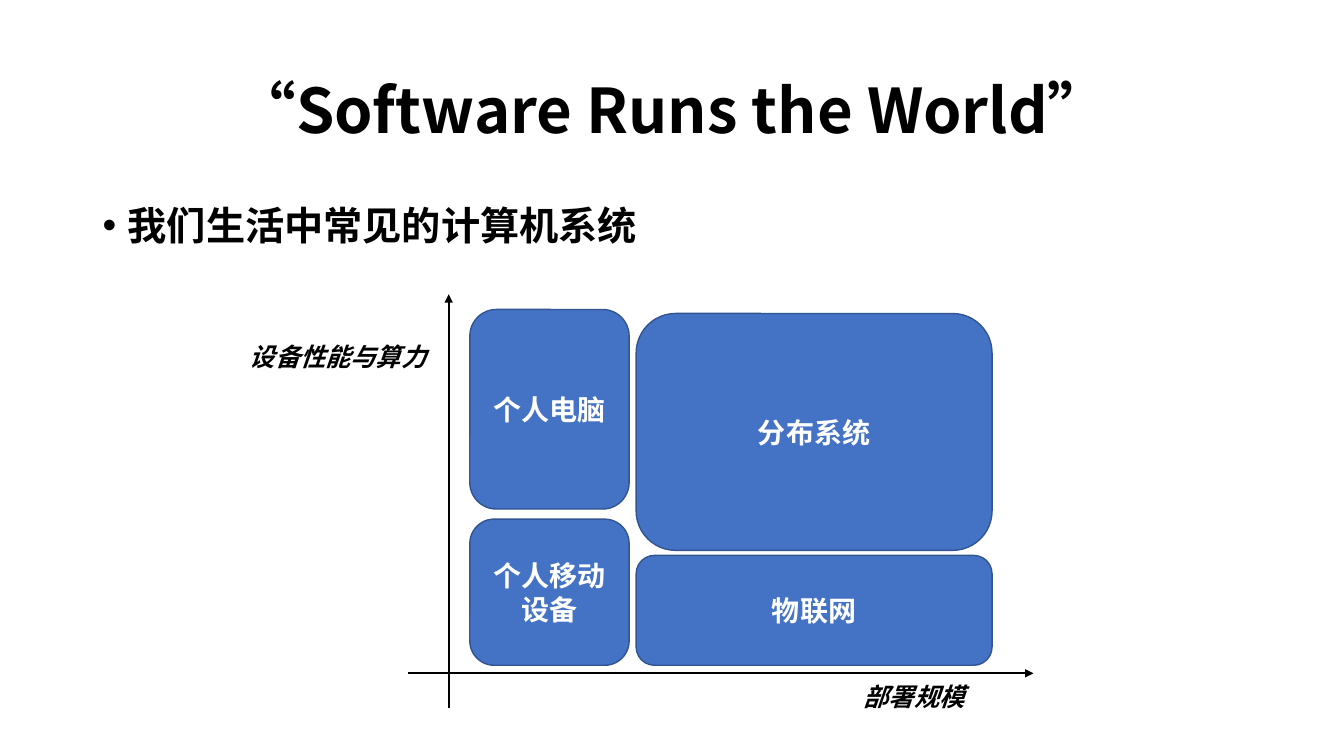
from lxml.etree import SubElement
from pptx import Presentation
from pptx.dml.color import RGBColor
from pptx.enum.shapes import MSO_CONNECTOR as Line, MSO_SHAPE as Shape
from pptx.enum.text import MSO_ANCHOR as Anchor, PP_ALIGN as Align
from pptx.oxml.ns import qn
from pptx.util import Pt

PX = 9144  # 100 px to the inch
FONT = "Noto Sans CJK TC"
HEX = {"ink": "000000", "fill": "4472C4", "edge": "325491", "label": "FFFFFF"}

TITLE = ("“Software Runs the World”", (92, 40, 1150, 145))
POINT = ("我们生活中常见的计算机系统", (92, 200, 1150, 476))
AXES = [
    ((445, 702), (445, 292)),
    ((405, 668), (1025, 668)),
]
NAMES = [
    ("部署规模", (744, 671, 325, 40), Align.CENTER),
    ("设备性能与算力", (238, 334, 205, 40), Align.LEFT),
]
# Columns: left, width, then label, top, height of each block
COLUMNS = [
    (466, 158, [("个人电脑", 307, 198), ("个人移动设备", 515, 145)]),
    (631, 353, [("分布系统", 311, 235), ("物联网", 551, 109)]),
]


def emu(nums):
    return [n * PX for n in nums]


def rgb(name):
    return RGBColor.from_string(HEX[name])


def write(shape, text, size, color="ink", align=Align.LEFT,
          anchor=Anchor.TOP, italic=False, space=None, bullet=None):
    frame = shape.text_frame
    frame.word_wrap = True
    frame.vertical_anchor = anchor
    para = frame.paragraphs[0]
    para.alignment = align
    if space:
        para.line_spacing = space
    if bullet:
        props = para._p.get_or_add_pPr()
        props.set("marL", str(25 * PX))
        props.set("indent", str(-25 * PX))
        SubElement(props, qn("a:buFont"), typeface="Arial")
        SubElement(props, qn("a:buChar"), char=bullet)
    run = para.add_run()
    run.text = text
    font = run.font
    font.size, font.bold, font.italic = Pt(size), True, italic
    font.color.rgb = rgb(color)
    font.name = FONT
    SubElement(run._r.get_or_add_rPr(), qn("a:ea"), typeface=FONT)


def draw_axis(shapes, start, end):
    axis = shapes.add_connector(Line.STRAIGHT, *emu(start + end))
    axis.line.color.rgb = rgb("ink")
    axis.line.width = Pt(1.5)
    props = axis._element.spPr
    SubElement(props.find(qn("a:ln")), qn("a:tailEnd"), type="triangle")
    SubElement(props, qn("a:effectLst"))


def draw_block(shapes, label, box):
    block = shapes.add_shape(Shape.ROUNDED_RECTANGLE, *emu(box))
    block.shadow.inherit = False
    block.fill.solid()
    block.fill.fore_color.rgb = rgb("fill")
    block.line.color.rgb = rgb("edge")
    block.line.width = Pt(1)
    write(block, label, 20, color="label", align=Align.CENTER,
          anchor=Anchor.MIDDLE)


def main():
    deck = Presentation()
    deck.slide_width, deck.slide_height = emu((1333, 750))
    shapes = deck.slides.add_slide(deck.slide_layouts[6]).shapes

    text, box = TITLE
    write(shapes.add_textbox(*emu(box)), text, 44, align=Align.CENTER,
          anchor=Anchor.MIDDLE, space=0.9)
    text, box = POINT
    write(shapes.add_textbox(*emu(box)), text, 28, space=0.9, bullet="•")

    for start, end in AXES:
        draw_axis(shapes, start, end)
    for text, box, align in NAMES:
        write(shapes.add_textbox(*emu(box)), text, 18, align=align,
              italic=True)
    for left, width, blocks in COLUMNS:
        for label, top, height in blocks:
            draw_block(shapes, label, (left, top, width, height))

    deck.save("out.pptx")


if __name__ == "__main__":
    main()
